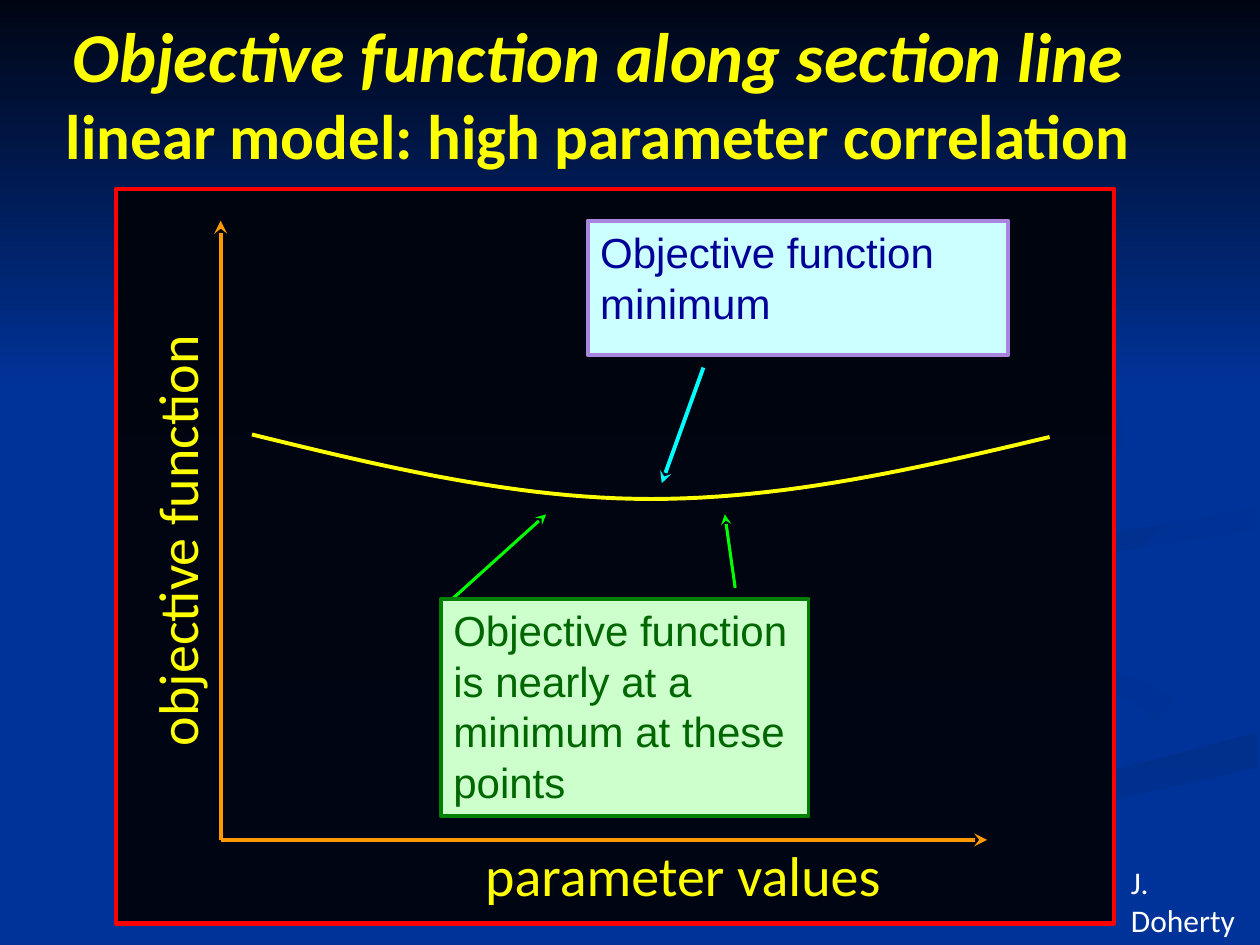
import lxml.etree
import pptx
import pptx.dml.color
import pptx.enum.shapes
import pptx.enum.text
import pptx.oxml.ns
import pptx.util

Cm = pptx.util.Cm
Pt = pptx.util.Pt
RGBColor = pptx.dml.color.RGBColor
RECTANGLE = pptx.enum.shapes.MSO_SHAPE.RECTANGLE
CENTER = pptx.enum.text.PP_ALIGN.CENTER

BLUE = RGBColor(0x00, 0x33, 0x99)
SWIRL_BLUE = RGBColor(0x00, 0x2F, 0x8C)
NIGHT = RGBColor(0x00, 0x05, 0x14)
DEEP_NIGHT = RGBColor(0x00, 0x04, 0x0E)
RED = RGBColor(0xFF, 0x00, 0x00)
ORANGE = RGBColor(0xFF, 0x99, 0x00)
YELLOW = RGBColor(0xFF, 0xFF, 0x00)
CYAN = RGBColor(0x00, 0xFF, 0xFF)
LIME = RGBColor(0x00, 0xFF, 0x00)
PALE_GREEN = RGBColor(0xCC, 0xFF, 0xCC)
GREEN = RGBColor(0x00, 0x80, 0x00)
DARK_GREEN = RGBColor(0x00, 0x66, 0x00)
PALE_CYAN = RGBColor(0xCC, 0xFF, 0xFF)
LILAC = RGBColor(0xA8, 0x86, 0xE0)
NAVY = RGBColor(0x00, 0x00, 0x99)
WHITE = RGBColor(0xFF, 0xFF, 0xFF)

# Background swirls in cm, with the downward angle of their gradient.
SWIRLS = [
    (45, [(23.95, 14.48), (23.62, 14.05), (22.99, 13.72), (22.1, 13.46),
          (20.6, 13.08), (19.25, 12.65), (18.39, 11.79), (18.54, 12.29),
          (19.18, 12.83), (20.24, 13.31), (21.69, 13.72), (22.35, 13.94),
          (22.86, 14.15), (23.14, 14.4), (23.32, 14.76), (23.22, 14.96),
          (22.71, 15.37), (23.27, 15.16), (23.8, 14.88), (23.95, 14.63)]),
    (90, [(12.78, 19.02), (14.5, 19.02), (15.6, 18.44), (17.02, 17.83),
          (19.1, 17.07), (21.87, 16.26), (25.35, 15.47), (25.35, 14.76),
          (24.13, 15.09), (22.94, 15.39), (19.41, 16.43), (16, 17.6),
          (14.45, 18.26)]),
    (45, [(19.84, 11.68), (20.09, 12.14), (20.98, 12.6), (20.45, 12.09),
          (20.73, 11.73), (21.41, 11.38), (22.3, 11.15), (25.35, 10.67),
          (25.35, 10.21), (23.7, 10.54), (21.57, 10.85), (20.29, 11.23)]),
    (45, [(17.35, 10.92), (20.5, 10.21), (22.02, 9.58), (22.66, 8.99),
          (22.6, 8.23), (21.95, 7.39), (20.85, 6.63), (19.35, 5.92),
          (20.98, 6.76), (22.25, 7.77), (22.58, 8.51), (22.1, 9.27),
          (21.08, 9.7), (17.17, 10.52), (15.16, 11.1), (14.66, 11.73),
          (14.99, 12.29), (15.8, 12.7), (15.09, 12.06), (15.4, 11.48)]),
]


def fill_gradient(shape, start, end, angle):
    """Fill with a two-colour gradient whose angle turns clockwise."""
    shape.fill.gradient()
    shape.fill.gradient_angle = 360 - angle
    for stop, color in zip(shape.fill.gradient_stops, (start, end)):
        stop.color.rgb = color


def set_line(shape, color, width):
    shape.line.color.rgb = color
    shape.line.width = Pt(width)


def add_rectangle(slide, box):
    rectangle = slide.shapes.add_shape(RECTANGLE, *map(Cm, box))
    rectangle.shadow.inherit = False
    return rectangle


def add_path(slide, points, closed):
    start, *others = [(Cm(x), Cm(y)) for x, y in points]
    builder = slide.shapes.build_freeform(*start)
    builder.add_line_segments(others, close=closed)
    path = builder.convert_to_shape()
    path.shadow.inherit = False
    return path


def add_arrow(slide, start, end, color, width):
    arrow = slide.shapes.add_connector(
        pptx.enum.shapes.MSO_CONNECTOR.STRAIGHT, *map(Cm, start + end))
    set_line(arrow, color, width)
    qn = pptx.oxml.ns.qn
    lxml.etree.SubElement(arrow.line._get_or_add_ln(), qn("a:tailEnd"), type="stealth")
    lxml.etree.SubElement(arrow.element.spPr, qn("a:effectLst"))


def write_text(shape, *lines, font="Calibri", size=32, color=YELLOW,
               bold=False, align=pptx.enum.text.PP_ALIGN.LEFT):
    frame = shape.text_frame
    frame.word_wrap = True
    frame.auto_size = pptx.enum.text.MSO_AUTO_SIZE.NONE
    frame.vertical_anchor = pptx.enum.text.MSO_ANCHOR.TOP
    frame.text = "\n".join(lines)
    for paragraph in frame.paragraphs:
        paragraph.alignment = align
        for run in paragraph.runs:
            run.font.name = font
            run.font.size = Pt(size)
            run.font.bold = bold
            run.font.color.rgb = color


def add_label(slide, box, text, rotation=0, **text_format):
    label = slide.shapes.add_textbox(*map(Cm, box))
    label.rotation = rotation
    write_text(label, text, **text_format)


def add_callout(slide, box, *lines, fill, border, width, color):
    callout = add_rectangle(slide, box)
    callout.fill.solid()
    callout.fill.fore_color.rgb = fill
    set_line(callout, border, width)
    write_text(callout, *lines, font="Arial", size=24, color=color)


def bezier_points(p0, p1, p2, p3, steps=24):
    for step in range(steps + 1):
        t = step / steps
        weights = ((1 - t) ** 3, 3 * t * (1 - t) ** 2, 3 * t ** 2 * (1 - t), t ** 3)
        yield tuple(sum(w * p[axis] for w, p in zip(weights, (p0, p1, p2, p3)))
                    for axis in (0, 1))


def add_background(slide):
    slide.background.fill.solid()
    slide.background.fill.fore_color.rgb = BLUE
    for angle, points in SWIRLS:
        swirl = add_path(slide, points, closed=True)
        fill_gradient(swirl, SWIRL_BLUE, BLUE, angle)
        swirl.line.fill.background()
    sky = add_rectangle(slide, (0, 0, 25.4, 7.82))
    fill_gradient(sky, NIGHT, BLUE, 90)
    sky.line.fill.background()


def add_title(slide):
    title = slide.shapes.title
    slide.shapes.element.append(title.element)  # in front of the background
    title.left, title.top, title.width, title.height = map(Cm, (0.41, 0.13, 23.29, 3.51))
    write_text(title, "Objective function along section line",
               "linear model: high parameter correlation",
               size=36, bold=True, align=CENTER)
    heading = title.text_frame.paragraphs[0].runs[0].font
    heading.size = Pt(40)
    heading.italic = True


def add_objective_curve(slide):
    minimum = (13.13, 10.06)
    falling = bezier_points((5.08, 8.76), (7.77, 9.42), (10.44, 10.06), minimum)
    rising = bezier_points(minimum, (15.8, 10.06), (18.49, 9.45), (21.16, 8.81))
    curve = add_path(slide, [*falling, *list(rising)[1:]], closed=False)
    curve.fill.background()
    set_line(curve, YELLOW, 2.25)


def add_graph(slide):
    frame = add_rectangle(slide, (2.34, 3.81, 20.12, 14.81))
    fill_gradient(frame, DEEP_NIGHT, NIGHT, 90)
    set_line(frame, RED, 2.5)
    origin = (4.45, 16.93)
    for axis_end in ((4.45, 4.45), (19.9, 16.93)):
        add_arrow(slide, origin, axis_end, ORANGE, 2.5)
    add_label(slide, (9.53, 16.81, 8.94, 1.63), "parameter values")
    add_label(slide, (-1.04, 9.88, 9.19, 1.63), "objective function", rotation=270)
    add_objective_curve(slide)


def main():
    presentation = pptx.Presentation()
    presentation.slide_width, presentation.slide_height = Cm(25.4), Cm(19.05)
    slide = presentation.slides.add_slide(presentation.slide_layouts[5])
    add_background(slide)
    add_graph(slide)
    add_title(slide)
    add_arrow(slide, (14.18, 7.41), (13.34, 9.74), CYAN, 2.25)
    add_arrow(slide, (8.89, 12.28), (11.01, 10.37), LIME, 1.75)
    add_arrow(slide, (14.82, 11.85), (14.61, 10.37), LIME, 1.75)
    add_callout(slide, (8.89, 12.07, 7.41, 4.39),
                "Objective function is nearly at a minimum at these points",
                fill=PALE_GREEN, border=GREEN, width=2.25, color=DARK_GREEN)
    add_callout(slide, (11.85, 4.45, 8.47, 2.71), "Objective function", "minimum",
                fill=PALE_CYAN, border=LILAC, width=2.5, color=NAVY)
    add_label(slide, (22.55, 17.27, 3.02, 1.78), "J. Doherty", size=18, color=WHITE)
    presentation.save("out.pptx")


if __name__ == "__main__":
    main()
